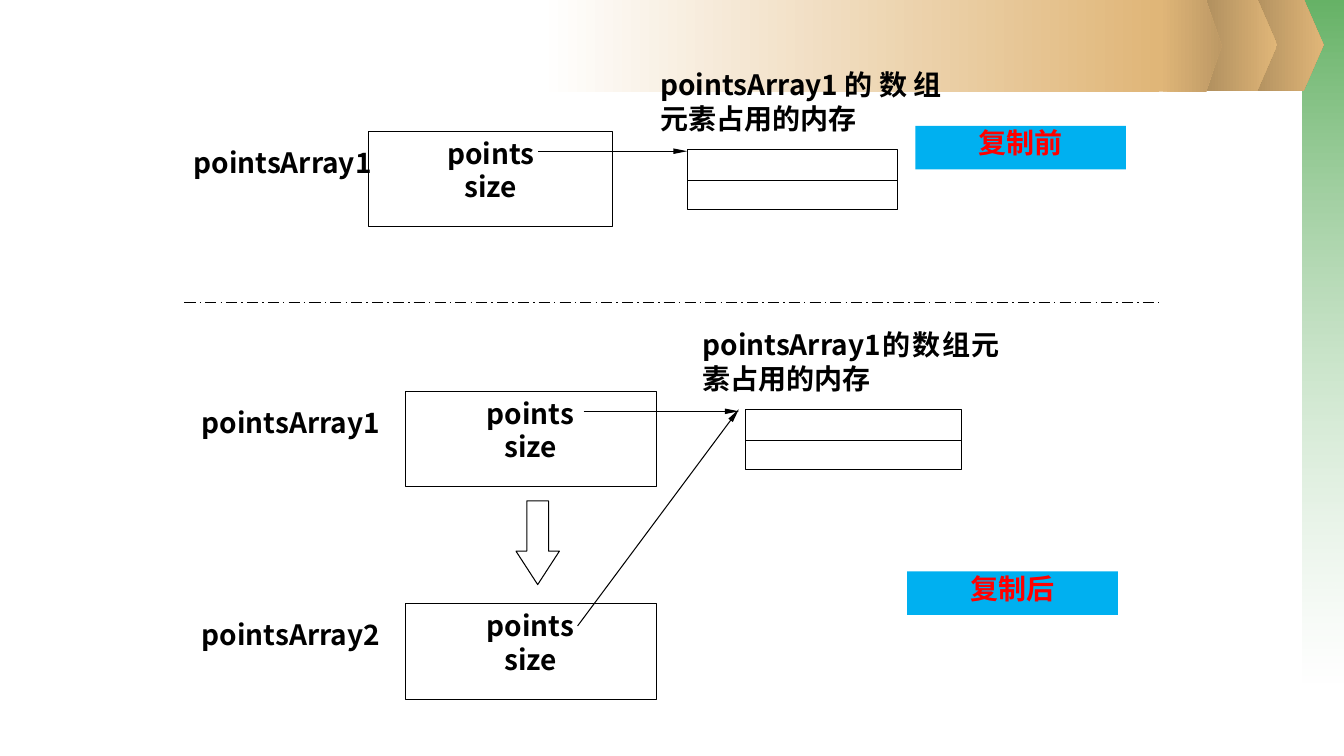
from lxml import etree
from pptx import Presentation
from pptx.dml.color import RGBColor
from pptx.enum import dml, shapes, text
from pptx.oxml import ns
from pptx.util import Pt

COLOURS = {
    "ink": "000000", "white": "FFFFFF", "green": "339933", "sand": "E0B678",
    "brown": "AB8B5C", "tan": "BD9965", "tag": "00B0F0", "tag_text": "FF0000",
}
CODE_FONT = "Noto Sans CJK SC"
OBJECT_SIZE_H = 68.4
CELLS_H = 43.2
THIN = 0.75


def colour(name):
    return RGBColor.from_string(COLOURS[name])


def add_xml(parent, tag, **attributes):
    return etree.SubElement(parent, ns.qn(tag), attributes)


def write(holder, lines, align, colour_name="ink", font_name=CODE_FONT, inset=(0, 0)):
    """Fill a shape with bold 20 pt lines; inset is (side, top and bottom)."""
    frame = holder.text_frame
    side, vertical = inset
    layout = {
        "word_wrap": True, "vertical_anchor": text.MSO_ANCHOR.TOP,
        "margin_left": Pt(side), "margin_right": Pt(side),
        "margin_top": Pt(vertical), "margin_bottom": Pt(vertical),
    }
    for key, value in layout.items():
        setattr(frame, key, value)
    for number, line in enumerate(lines):
        paragraph = frame.add_paragraph() if number else frame.paragraphs[0]
        paragraph.alignment = align
        run = paragraph.add_run()
        run.text = line
        for key, value in {"size": Pt(20), "bold": True, "name": font_name}.items():
            setattr(run.font, key, value)
        run.font.color.rgb = colour(colour_name)
        add_xml(run.font._element, "a:ea", typeface=CODE_FONT)


def add_block(slide, box, kind=shapes.MSO_SHAPE.RECTANGLE, fill=None, outlined=True):
    block = slide.shapes.add_shape(kind, *map(Pt, box))
    block.shadow.inherit = False
    if fill:
        block.fill.solid()
        block.fill.fore_color.rgb = colour(fill)
    else:
        block.fill.background()
    if outlined:
        block.line.color.rgb = colour("ink")
        block.line.width = Pt(THIN)
    else:
        block.line.fill.background()
    return block


def add_gradient(slide, box, kind, stops, angle=0, alphas=()):
    block = add_block(slide, box, kind, outlined=False)
    block.fill.gradient()
    block.fill.gradient_angle = angle
    for stop, name in zip(block.fill.gradient_stops, stops):
        stop.color.rgb = colour(name)
    for rgb, alpha in zip(block._element.spPr.iter(ns.qn("a:srgbClr")), alphas):
        add_xml(rgb, "a:alpha", val=str(alpha * 1000))
    return block


def add_line(slide, start, end, width=THIN, dash=None, arrow=False):
    line = slide.shapes.add_connector(
        shapes.MSO_CONNECTOR.STRAIGHT, *map(Pt, (*start, *end)))
    line.line.color.rgb = colour("ink")
    line.line.width = Pt(width)
    if dash:
        line.line.dash_style = dash
    if arrow:
        add_xml(line.line._get_or_add_ln(), "a:tailEnd", type="triangle", w="sm", len="lg")
    add_xml(line._element.spPr, "a:effectLst")


def add_label(slide, box, words):
    label = slide.shapes.add_textbox(*map(Pt, box))
    write(label, [words], text.PP_ALIGN.JUSTIFY)


def draw_banner(slide, width):
    plate, rect = shapes.MSO_SHAPE.PENTAGON, shapes.MSO_SHAPE.RECTANGLE
    height = 65.5
    side = 29.6
    add_gradient(slide, (width - side, 0, side, 487.4), rect,
                 ("green", "white"), 270, (75, 37))
    for left in (888.5, 855.4):
        tip = add_gradient(slide, (left, -0.7, 56.9, height), plate, ("brown", "sand"))
        tip.adjustments[0] = 0.25
    add_gradient(slide, (385.9, 0, 442.1, height), rect, ("white", "sand"))
    end = add_gradient(slide, (828, 0, 44.6, height), plate, ("sand", "tan"))
    end.adjustments[0] = 0.25


def draw_object(slide, box, name, label_left, label_width):
    """Draw an array object's members, with its variable name to the left."""
    left, top, width = box
    block = add_block(slide, (left, top, width, OBJECT_SIZE_H))
    write(block, ["points", "size"], text.PP_ALIGN.CENTER, inset=(0, 3.6))
    add_label(slide, (label_left, top + 10, label_width, 26), name)


def draw_memory(slide, box, caption_box):
    """Draw the two array cells under their caption."""
    left, top, width = box
    add_block(slide, (left, top, width, CELLS_H))
    middle = top + 22.3
    add_line(slide, (left, middle), (left + width, middle))
    add_label(slide, (*caption_box, 55.4), "pointsArray1的数组元素占用的内存")


def draw_tag(slide, left, top, words):
    tag = add_block(slide, (left, top, 150.5, 31), fill="tag", outlined=False)
    write(tag, [words], text.PP_ALIGN.CENTER, "tag_text", "Arial", (7.2, 0))


def draw_before(slide, left, top):
    draw_memory(slide, (left + 352.8, top + 58.4, 149.8), (left + 333.4, top, 200.9))
    draw_object(slide, (left + 125.3, top + 45.4, 174.2), "pointsArray1", left, 147.6)
    pointer = top + 59.8
    add_line(slide, (left + 246.3, pointer), (left + 352.8, pointer), arrow=True)
    draw_tag(slide, left + 515.6, top + 41.8, "复制前")


def draw_after(slide, left, top):
    draw_memory(slide, (left + 388.8, top + 58.3, 154.1), (left + 357.8, top, 212.4))
    for name, offset in (("pointsArray1", 45.4), ("pointsArray2", 197.3)):
        draw_object(slide, (left + 145.4, top + offset, 179.3), name, left, 143.3)
    target = left + 383.8
    add_line(slide, (left + 272.9, top + 59.8), (target, top + 59.8), arrow=True)
    add_line(slide, (left + 268.6, top + 213.1), (target, top + 58.3), arrow=True)
    copying = add_block(slide, (left + 224.6, top + 123.8, 31, 59.8),
                        shapes.MSO_SHAPE.DOWN_ARROW)
    copying.adjustments[0] = 0.5
    copying.adjustments[1] = 0.77
    draw_tag(slide, left + 504, top + 174.2, "复制后")


def main():
    deck = Presentation()
    width, height = 960, 540
    deck.slide_width, deck.slide_height = Pt(width), Pt(height)
    slide = deck.slides.add_slide(deck.slide_layouts[6])
    draw_banner(slide, width)
    draw_before(slide, 138.2, 48.2)
    add_line(slide, (131.8, 216), (828, 216), 1, dml.MSO_LINE.LONG_DASH_DOT)
    draw_after(slide, 144, 234)
    deck.save("out.pptx")


if __name__ == "__main__":
    main()
